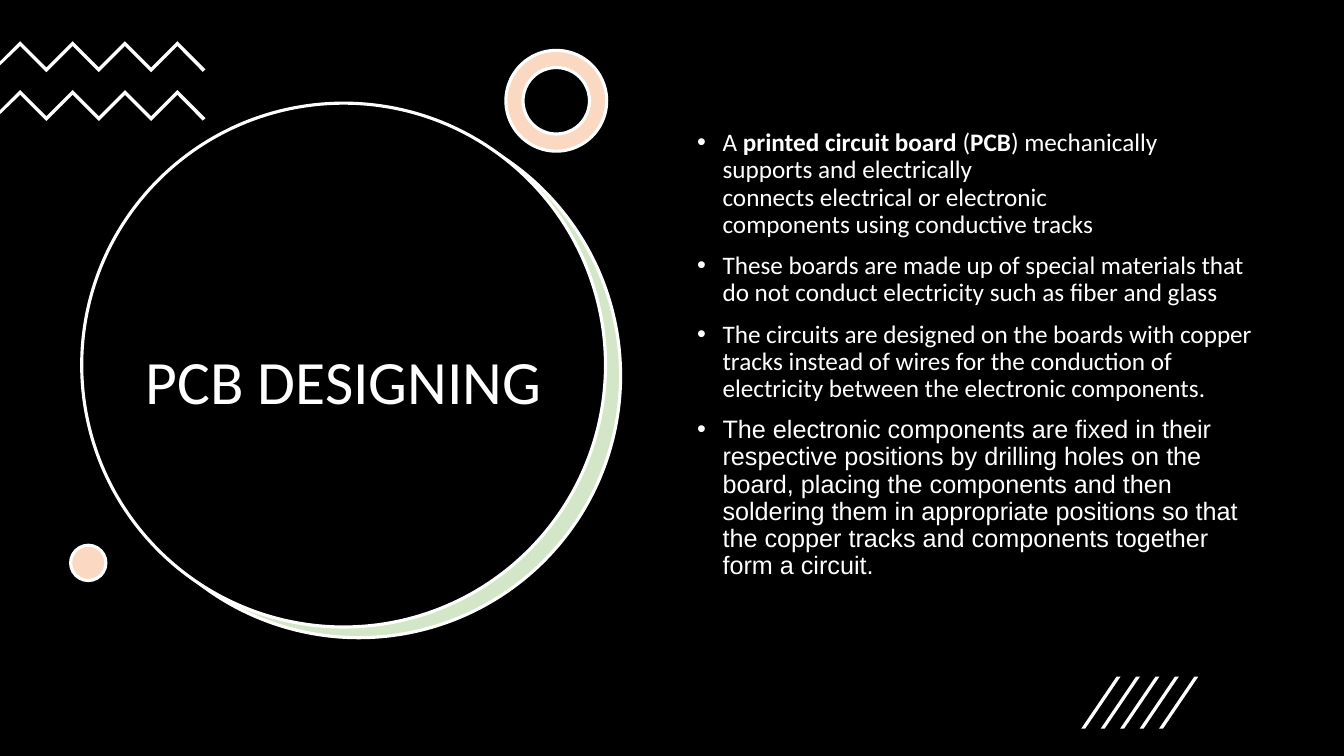
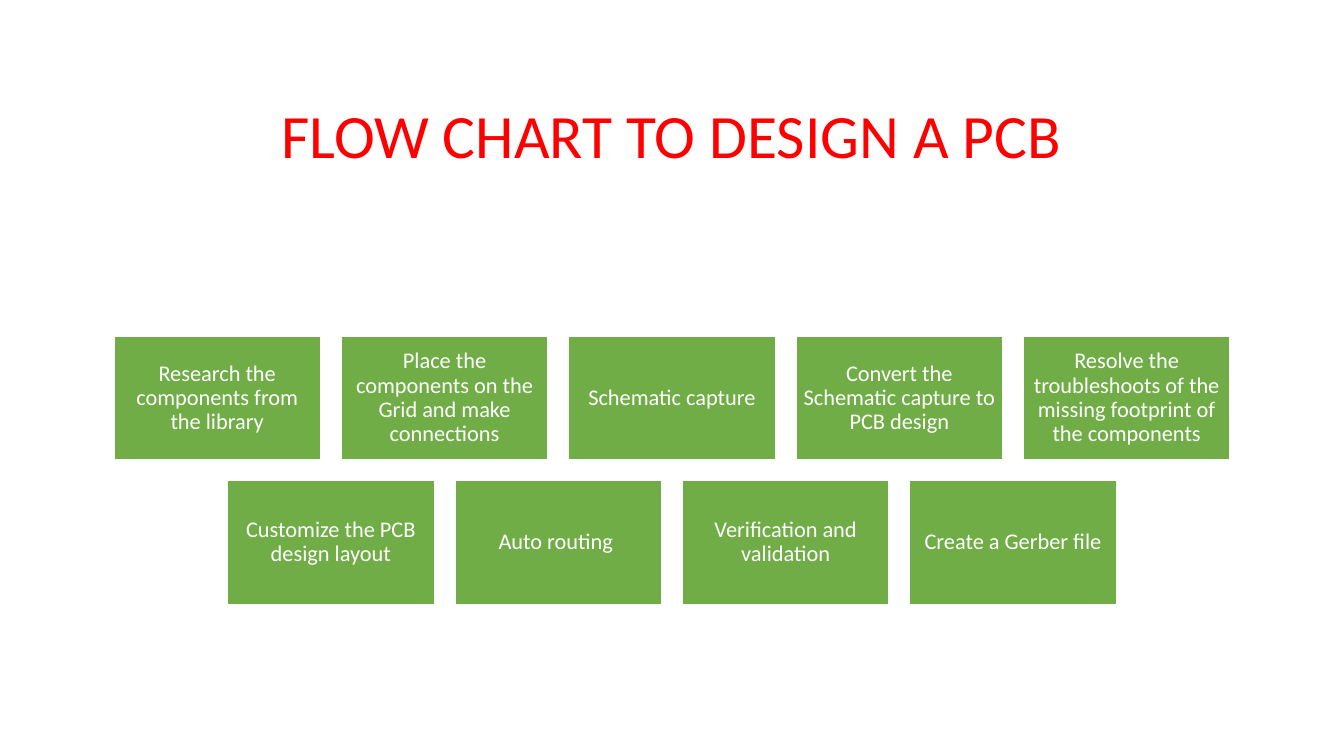
from lxml import etree
from pptx import Presentation
from pptx import util as u
from pptx.dml.color import RGBColor
from pptx.enum import shapes, text
from pptx.oxml import ns

COLOURS = {
    "black": "000000",
    "white": "FFFFFF",
    "red": "FF0000",
    "green": "70AD47",
    "pale green": "D4E6C8",
    "pale orange": "FAD8C1",
}
FONT = "Calibri"
PAGE_WIDTH, PAGE_HEIGHT = 33.87, 19.05
SHAPE = shapes.MSO_SHAPE
HARD_SPACE = chr(160)


def colour(name):
    return RGBColor.from_string(COLOURS[name])


def unbroken(wording):
    """Keep the words of a phrase on one line."""
    return wording.replace(" ", HARD_SPACE)


class SlideMaker:
    """Holds the shared style and the slide being drawn; lengths are in cm."""

    def __init__(self):
        self.deck = Presentation()
        self.deck.slide_width = u.Cm(PAGE_WIDTH)
        self.deck.slide_height = u.Cm(PAGE_HEIGHT)
        self.page = None

    def new_page(self):
        self.page = self.deck.slides.add_slide(self.deck.slide_layouts[5])

    def title(self, wording, area, ink):
        box = self.page.shapes.title
        box.left, box.top, box.width, box.height = map(u.Cm, area)
        # Bring the title in front of the shapes drawn so far
        self.page.shapes._spTree.append(box._element)
        frame = box.text_frame
        frame.word_wrap = True
        frame.auto_size = text.MSO_AUTO_SIZE.NONE
        frame.vertical_anchor = text.MSO_ANCHOR.MIDDLE
        self.centred(frame.paragraphs[0], wording, 44, ink)

    def span(self, para, wording, size, ink, font=FONT, bold=False):
        span = para.add_run()
        span.text = wording
        span.font.name = font
        span.font.size = u.Pt(size)
        span.font.bold = bold
        span.font.color.rgb = colour(ink)

    def centred(self, para, wording, size, ink):
        para.alignment = text.PP_ALIGN.CENTER
        para.line_spacing = 0.9
        self.span(para, wording, size, ink)

    def paint(self, shape, fill, line=None, line_width=2.25):
        shape.shadow.inherit = False
        shape.fill.solid()
        shape.fill.fore_color.rgb = colour(fill)
        if line:
            shape.line.color.rgb = colour(line)
            shape.line.width = u.Pt(line_width)
        else:
            shape.line.fill.background()

    def preset(self, kind, area, fill, line="white", line_width=2.25):
        shape = self.page.shapes.add_shape(kind, *map(u.Cm, area))
        self.paint(shape, fill, line, line_width)
        return shape

    def outline(self, points, fill):
        points = [(u.Cm(x), u.Cm(y)) for x, y in points]
        builder = self.page.shapes.build_freeform(*points[0])
        builder.add_line_segments(points[1:], close=True)
        self.paint(builder.convert_to_shape(), fill)

    def zigzag(self, top):
        start, step, thickness = 0.51, 0.66, 0.12
        crest = [(start + step * i, top + step * (i % 2)) for i in range(7)]
        underside = [(x, y + thickness) for x, y in reversed(crest)]
        tip = [(5.18, top + 0.71), (5.11, top + 0.77)]
        edge = [(0, top + 0.61), (0, top + 0.51)]
        self.outline(crest + tip + underside + edge, "white")

    def slash(self, left):
        top, bottom, thickness, lean = 17.05, 18.36, 0.1, 0.89
        self.outline([(left + thickness, bottom), (left, bottom),
                      (left + lean, top), (left + lean + thickness, top)], "white")

    def bullets(self, area, items):
        """Each item is a list of (wording, font, bold) spans."""
        frame = self.page.shapes.add_textbox(*map(u.Cm, area)).text_frame
        frame.word_wrap = True
        for index, item in enumerate(items):
            para = frame.paragraphs[0] if index == 0 else frame.add_paragraph()
            props = para._p.get_or_add_pPr()
            props.set("marL", str(u.Cm(0.64)))
            props.set("indent", str(-u.Cm(0.64)))
            etree.SubElement(props, ns.qn("a:buFont"), typeface="Arial")
            etree.SubElement(props, ns.qn("a:buChar"), char="•")
            para.line_spacing = 0.9
            para.space_before = u.Pt(10 if index else 0)
            for wording, font, bold in item:
                self.span(para, wording, 18, "white", font, bold)

    def step_box(self, area, wording):
        frame = self.preset(SHAPE.RECTANGLE, area, "green", "white", 1).text_frame
        frame.word_wrap = True
        frame.vertical_anchor = text.MSO_ANCHOR.MIDDLE
        frame.margin_left = frame.margin_right = u.Cm(0.17)
        frame.margin_top = frame.margin_bottom = u.Cm(0.17)
        self.centred(frame.paragraphs[0], wording, 16, "white")


def design_page(maker):
    maker.new_page()
    maker.preset(SHAPE.RECTANGLE, (0, 0, PAGE_WIDTH, PAGE_HEIGHT), "black", None)

    # Large circle with its pale crescent
    maker.preset(SHAPE.OVAL, (2.44, 2.87, 13.2, 13.2), "pale green")
    maker.preset(SHAPE.OVAL, (2.06, 2.6, 13.2, 13.2), "black")
    maker.title("PCB DESIGNING", (3.07, 5.21, 11.2, 8.94), "white")

    # Decorations
    for top in (1.04, 2.27):
        maker.zigzag(top)
    ring = maker.preset(SHAPE.DONUT, (12.75, 1.27, 2.54, 2.54), "pale orange")
    ring.adjustments[0] = 0.17
    maker.preset(SHAPE.OVAL, (1.78, 13.74, 0.89, 0.89), "pale orange")
    for index in range(5):
        maker.slash(27.25 + 0.49 * index)

    # Explanation
    maker.bullets((17.32, 3.15, 14.5, 12.09), [
        [(unbroken("A "), FONT, False),
         ("printed circuit board", FONT, True),
         (unbroken(" ("), FONT, False),
         ("PCB", FONT, True),
         (") mechanically supports and electrically "
          + unbroken("connects electrical or electronic") + " "
          + unbroken("components using conductive tracks"), FONT, False)],
        [("These boards are made up of special materials that do not conduct "
          "electricity such as fiber and glass", FONT, False)],
        [("The circuits are designed on the boards with copper tracks instead of "
          "wires for the conduction of electricity between the electronic "
          "components.", FONT, False)],
        [(unbroken("The electronic components are")
          + " fixed in their respective positions by "
          "drilling holes on the board, placing the components and then soldering "
          "them in appropriate positions so that the copper tracks and components "
          "together form a circuit.", "Arial", False)],
    ])


def flow_page(maker):
    maker.new_page()
    maker.title("FLOW CHART TO DESIGN A PCB", (2.85, 1.81, 28.14, 3.38), "red")

    # Centred rows of steps
    rows = [
        ["Research the components from the library",
         "Place the components on the Grid and make connections",
         "Schematic capture",
         "Convert the Schematic capture to PCB design",
         "Resolve the troubleshoots of the missing footprint of the components"],
        ["Customize the PCB design layout",
         "Auto routing ",
         "Verification and validation",
         "Create a Gerber file"],
    ]
    width, height, gap, first_top = 5.21, 3.12, 0.52, 8.47
    for row, steps in enumerate(rows):
        row_width = len(steps) * (width + gap) - gap
        left = (PAGE_WIDTH - row_width) / 2
        top = first_top + row * (height + gap)
        for column, wording in enumerate(steps):
            maker.step_box((left + column * (width + gap), top, width, height), wording)


def main():
    maker = SlideMaker()
    design_page(maker)
    flow_page(maker)
    maker.deck.save("out.pptx")


if __name__ == "__main__":
    main()
